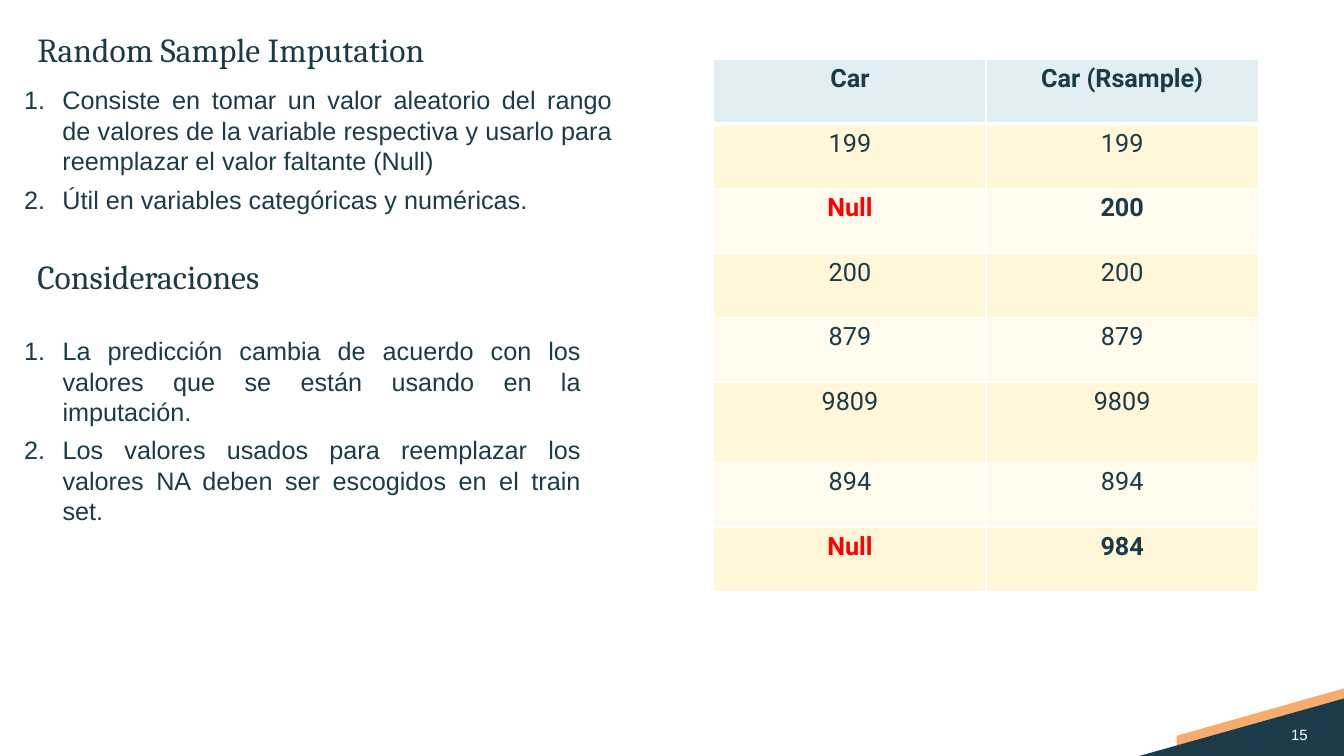
from dataclasses import dataclass

from lxml import etree
from pptx import Presentation
from pptx import util as u
from pptx.dml.color import RGBColor
from pptx.enum import text as t
from pptx.oxml import ns

HUES = {
    "ink": "1A3B47",
    "white": "FFFFFF",
    "peach": "F7AC6F",
    "sky": "E1EFF4",
    "cream": "FFF7D8",
    "pale": "FFFBED",
    "red": "FF0000",
}
LEFT, JUST = t.PP_ALIGN.LEFT, t.PP_ALIGN.JUSTIFY
MID, RIGHT = t.PP_ALIGN.CENTER, t.PP_ALIGN.RIGHT


@dataclass
class Box:
    left: float
    top: float
    width: float
    height: float

    def emu(self) -> list:
        return [u.Inches(n) for n in (self.left, self.top, self.width, self.height)]


@dataclass
class Style:
    font: str
    size: float
    hue: str = "ink"
    bold: bool = False
    align: int = LEFT


@dataclass
class Steps:
    box: Box
    lines: list


@dataclass
class Wedge:
    hue: str
    points: list


HEAD = Style("Cambria", 24)
BODY = Style("Arial", 18, align=JUST)
PAGE = Style("Arial", 10.7, "white", align=RIGHT)

WEDGES = [
    Wedge("peach", [(13.33, 7.25), (13.33, 6.83), (11.67, 7.3), (11.67, 7.49)]),
    Wedge("ink", [(11.3, 7.5), (13.33, 6.93), (13.33, 7.5)]),
]
STEPS = [
    Steps(Box(0.24, 0.84, 5.83, 2.49), [
        "Consiste en tomar un valor aleatorio del rango de valores de la variable "
        "respectiva y usarlo para reemplazar el valor faltante (Null)",
        "Útil en variables categóricas y numéricas.",
    ]),
    Steps(Box(0.24, 3.33, 5.52, 2), [
        "La predicción cambia de acuerdo con los valores que se están usando "
        "en la imputación.",
        "Los valores usados para reemplazar los valores NA deben ser escogidos "
        "en el train set.",
    ]),
]
CARS = [
    ("Car", "Car (Rsample)"),
    ("199", "199"),
    ("Null", "200"),
    ("200", "200"),
    ("879", "879"),
    ("9809", "9809"),
    ("894", "894"),
    ("Null", "984"),
]
ROWS = [0.64] * 5 + [0.8] + [0.64] * 2


def color(name: str) -> RGBColor:
    return RGBColor.from_string(HUES[name])


def format_line(para, style: Style) -> None:
    para.alignment = style.align
    for run in para.runs:
        font = run.font
        font.name, font.size, font.bold = style.font, u.Pt(style.size), style.bold
        font.color.rgb = color(style.hue)


def fill_box(shape, box: Box, lines: list, style: Style):
    shape.left, shape.top, shape.width, shape.height = box.emu()
    frame = shape.text_frame
    frame.text = "\n".join(lines)
    frame.word_wrap = True
    frame.auto_size = t.MSO_AUTO_SIZE.NONE
    frame.vertical_anchor = t.MSO_ANCHOR.TOP
    frame.margin_left = frame.margin_right = 0
    frame.margin_top = frame.margin_bottom = 0
    for para in frame.paragraphs:
        format_line(para, style)
    return frame


def add_box(slide, box: Box, lines: list, style: Style):
    return fill_box(slide.shapes.add_textbox(*box.emu()), box, lines, style)


def add_steps(slide, steps: Steps) -> None:
    frame = add_box(slide, steps.box, steps.lines, BODY)
    for n, para in enumerate(frame.paragraphs):
        props = para._p.get_or_add_pPr()
        props.set("marL", str(u.Inches(0.38)))
        props.set("indent", str(u.Inches(-0.38)))
        mark = etree.SubElement(props, ns.qn("a:buAutoNum"))
        mark.set("type", "arabicPeriod")
        if n:
            para.space_before = u.Pt(6)


def add_wedge(slide, wedge: Wedge) -> None:
    first, *rest = [(u.Inches(x), u.Inches(y)) for x, y in wedge.points]
    pen = slide.shapes.build_freeform(*first)
    pen.add_line_segments(rest, close=True)
    shape = pen.convert_to_shape()
    shape.shadow.inherit = False
    shape.fill.solid()
    shape.fill.fore_color.rgb = color(wedge.hue)
    shape.line.fill.background()


def add_edges(cell, base: float) -> None:
    props = cell._tc.get_or_add_tcPr()
    for n, (side, width) in enumerate(zip("LRTB", (1, 1, 1, base))):
        edge = etree.Element(ns.qn(f"a:ln{side}"), w=str(u.Pt(width)))
        solid = etree.SubElement(edge, ns.qn("a:solidFill"))
        etree.SubElement(solid, ns.qn("a:srgbClr"), val=HUES["white"])
        props.insert(n, edge)


def add_cars(slide) -> None:
    box = Box(7.08, 0.59, 5.4, sum(ROWS))
    table = slide.shapes.add_table(len(CARS), 2, *box.emu()).table
    for col in table.columns:
        col.width = u.Inches(2.7)
    for r, (row, high) in enumerate(zip(CARS, ROWS)):
        table.rows[r].height = u.Inches(high)
        shade = "sky" if r == 0 else "cream" if r % 2 else "pale"
        for c, value in enumerate(row):
            cell = table.cell(r, c)
            cell.text = value
            cell.fill.solid()
            cell.fill.fore_color.rgb = color(shade)
            hue = "red" if value == "Null" else "ink"
            bold = r == 0 or "Null" in row
            format_line(cell.text_frame.paragraphs[0],
                        Style("Roboto", 18, hue, bold, MID))
            add_edges(cell, 1 if r else 3)


def main() -> None:
    deck = Presentation()
    deck.slide_width, deck.slide_height = u.Inches(13.33), u.Inches(7.5)
    slide = deck.slides.add_slide(deck.slide_layouts[5])

    # Corner wedges and page number
    for wedge in WEDGES:
        add_wedge(slide, wedge)
    page = add_box(slide, Box(12.55, 7.11, 0.42, 0.35), ["15"], PAGE)
    page.vertical_anchor = t.MSO_ANCHOR.MIDDLE

    # Headings
    title = fill_box(slide.shapes.title, Box(0.37, 0.33, 12.6, 0.51),
                     ["Random Sample Imputation"], HEAD)
    notes = add_box(slide, Box(0.37, 2.58, 12.6, 1.01), ["Consideraciones"], HEAD)
    for frame in (title, notes):
        frame.paragraphs[0].line_spacing = 0.9

    # Numbered lists
    for steps in STEPS:
        add_steps(slide, steps)

    # Table of values
    add_cars(slide)
    deck.save("out.pptx")


if __name__ == "__main__":
    main()
